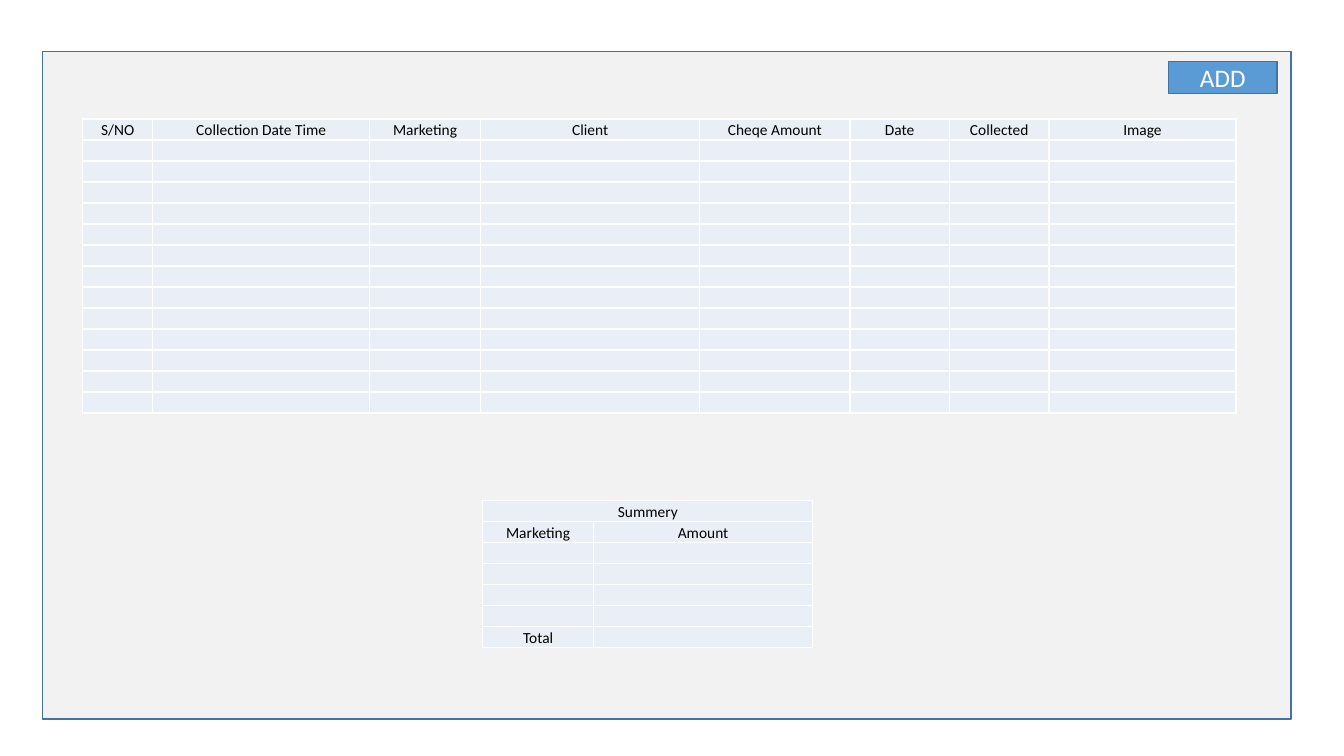
from lxml.etree import SubElement
from pptx import Presentation
from pptx.dml.color import RGBColor
from pptx.enum.shapes import MSO_SHAPE
from pptx.enum.text import MSO_ANCHOR, PP_ALIGN
from pptx.oxml.ns import qn
from pptx.util import Pt

WHITE = RGBColor(0xFF, 0xFF, 0xFF)
BLACK = RGBColor(0, 0, 0)
PANEL_GREY = RGBColor(0xF2, 0xF2, 0xF2)
BUTTON_BLUE = RGBColor(0x5B, 0x9B, 0xD5)
EDGE_BLUE = RGBColor(0x43, 0x73, 0x9E)
CELL_BLUE = RGBColor(0xEA, 0xEF, 0xF7)

FONT = "Calibri"
CELL_SIZE = 11
ROW_HEIGHT = 15
CELL_FORMAT = {
    "margin_left": Pt(0.7), "margin_right": Pt(0.7),
    "margin_top": Pt(0.7), "margin_bottom": Pt(0),
    "vertical_anchor": MSO_ANCHOR.MIDDLE,
}

PANEL = (30.2, 36.7, 892.1, 477)
BUTTON = (834.5, 43.9, 77.8, 23)

COLLECTIONS = {
    "at": (59, 85),
    "columns": [("S/NO", 50.2), ("Collection Date Time", 155), ("Marketing", 79),
                ("Client", 156.8), ("Cheqe Amount", 107.2), ("Date", 71.1),
                ("Collected", 71.1), ("Image", 133.6)],
    "empty_rows": 13,
}
SUMMARY = {
    "at": (344.9, 357.8),
    "title": "Summery",
    "columns": [("Marketing", 79), ("Amount", 156.8)],
    "empty_rows": 4,
    "footer": "Total",
}


def set_attributes(target, values):
    for name, value in values.items():
        setattr(target, name, value)


def write(p, text, size, color):
    p.alignment = PP_ALIGN.CENTER
    r = p.add_run()
    r.text = text
    set_attributes(r.font, {"name": FONT, "size": Pt(size)})
    r.font.color.rgb = color


def add_box(s, bounds, fill):
    sp = s.shapes.add_shape(MSO_SHAPE.RECTANGLE, *map(Pt, bounds))
    sp.shadow.inherit = False
    sp.fill.solid()
    sp.fill.fore_color.rgb = fill
    sp.line.color.rgb = EDGE_BLUE
    sp.line.width = Pt(1)
    return sp


def add_borders(cell):
    """Draw a thin white line on all four sides of a cell."""
    tc_pr = cell._tc.get_or_add_tcPr()
    for place, side in enumerate(("a:lnL", "a:lnR", "a:lnT", "a:lnB")):
        line = SubElement(tc_pr, qn(side), w=str(Pt(1)))
        fill = SubElement(line, qn("a:solidFill"))
        SubElement(fill, qn("a:srgbClr"), val=str(WHITE))
        tc_pr.insert(place, line)


def fill_cell(cell, text):
    set_attributes(cell, CELL_FORMAT)
    cell.fill.solid()
    cell.fill.fore_color.rgb = CELL_BLUE
    add_borders(cell)
    p = cell.text_frame.paragraphs[0]
    if text:
        write(p, text, CELL_SIZE, BLACK)
    else:
        # Keeps an empty row from growing to the default 18 pt text height
        SubElement(p._p, qn("a:endParaRPr"), sz=str(CELL_SIZE * 100))


def add_grid(s, content):
    labels, widths = zip(*content["columns"])
    blank = [""] * len(labels)
    rows = [list(labels)] + [blank] * content["empty_rows"]
    if "title" in content:
        rows.insert(0, [content["title"]] + blank[1:])
    if "footer" in content:
        rows.append([content["footer"]] + blank[1:])

    size = (sum(widths), ROW_HEIGHT * len(rows))
    frame = s.shapes.add_table(len(rows), len(labels), *map(Pt, content["at"] + size))
    table = frame.table
    set_attributes(table, {"first_row": False, "horz_banding": False})
    for column, width in zip(table.columns, widths):
        column.width = Pt(width)
    for i, row in enumerate(rows):
        table.rows[i].height = Pt(ROW_HEIGHT)
        for j, text in enumerate(row):
            fill_cell(table.cell(i, j), text)
    if "title" in content:
        title = table.cell(0, 0)
        title.merge(table.cell(0, len(labels) - 1))
        title.vertical_anchor = MSO_ANCHOR.BOTTOM


def main():
    prs = Presentation()
    prs.slide_width, prs.slide_height = Pt(960), Pt(540)
    s = prs.slides.add_slide(prs.slide_layouts[6])

    add_box(s, PANEL, PANEL_GREY)
    for content in (COLLECTIONS, SUMMARY):
        add_grid(s, content)

    tf = add_box(s, BUTTON, BUTTON_BLUE).text_frame
    tf.vertical_anchor = MSO_ANCHOR.MIDDLE
    write(tf.paragraphs[0], "ADD", 18, WHITE)

    prs.save("out.pptx")


if __name__ == "__main__":
    main()
